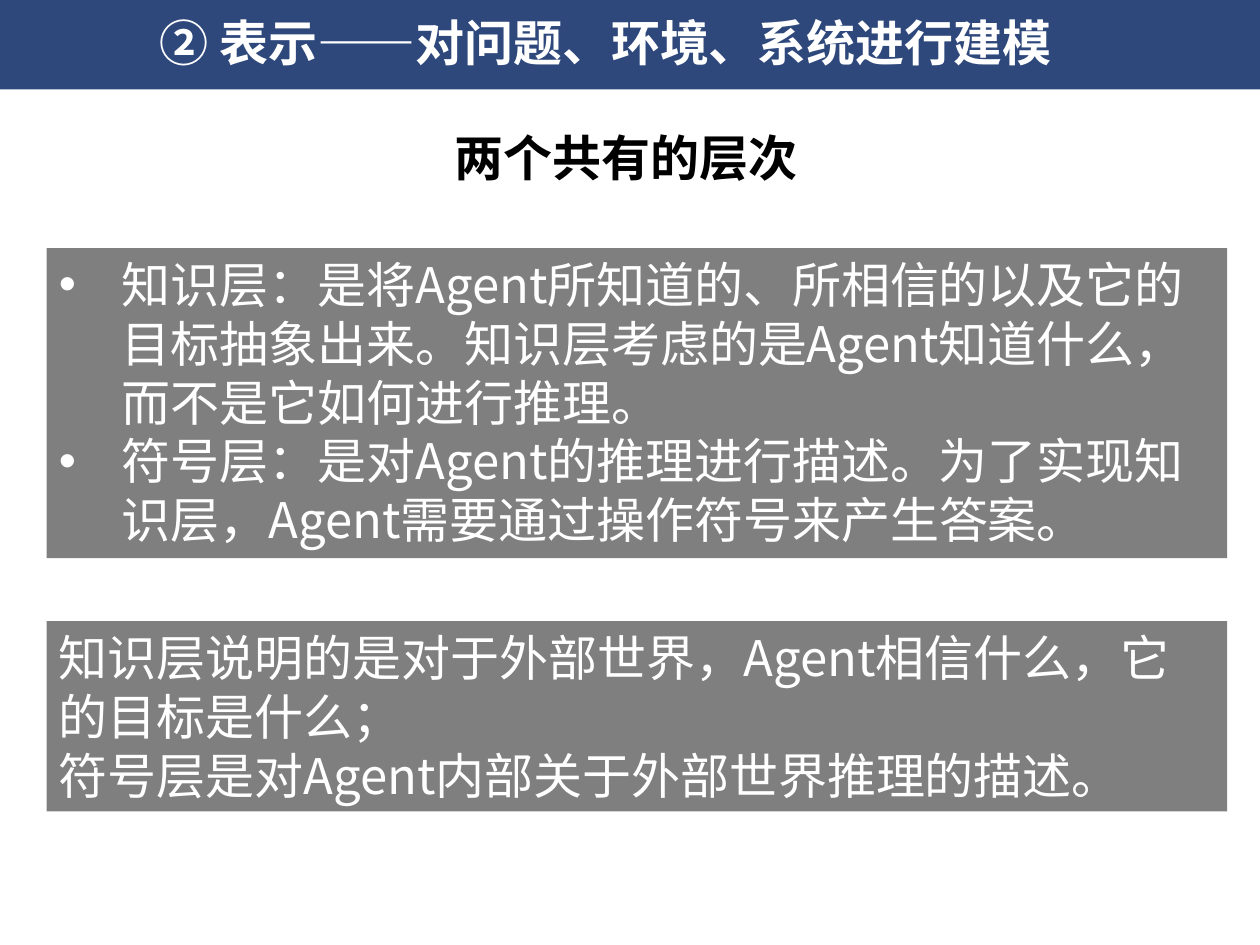
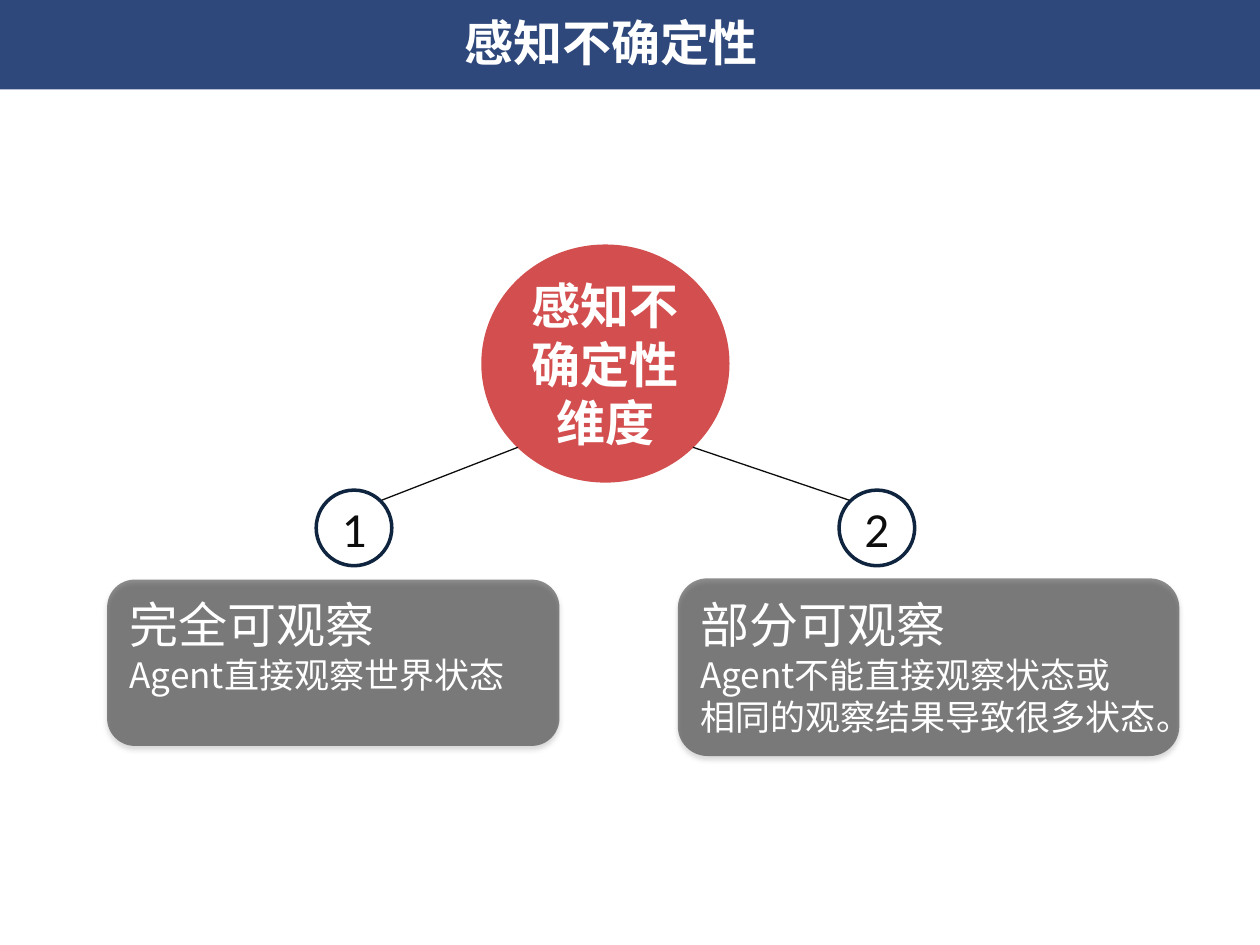
import pptx
import pptx.util
import pptx.dml.color
import pptx.enum.shapes
import pptx.enum.text
import pptx.oxml.ns
import lxml.etree

RGB = pptx.dml.color.RGBColor
NAVY = RGB(0x00, 0x20, 0x60)
RED = RGB(0xC0, 0x00, 0x00)
RING = RGB(0x0F, 0x24, 0x3E)
INK = RGB(0x0D, 0x0D, 0x0D)
BLACK = RGB(0, 0, 0)
WHITE = RGB(255, 255, 255)
FONT = "Noto Sans CJK SC"
SHAPE = pptx.enum.shapes.MSO_SHAPE
ALIGN = pptx.enum.text.PP_ALIGN
ANCHOR = pptx.enum.text.MSO_ANCHOR
qn = pptx.oxml.ns.qn
sub = lxml.etree.SubElement

deck = pptx.Presentation()
deck.slide_width = pptx.util.Inches(10)
deck.slide_height = pptx.util.Inches(7.5)
UNIT = deck.slide_width // 100  # grid of 100 columns by 75 rows


def box(slide, kind, area, fill=None, alpha=100):
    """Add a shape, or a text box if kind is None, on the grid."""
    area = [int(n * UNIT) for n in area]
    if kind is None:
        return slide.shapes.add_textbox(*area)
    shape = slide.shapes.add_shape(kind, *area)
    shape.shadow.inherit = False
    shape.line.fill.background()
    if fill is None:
        shape.fill.background()
    else:
        shape.fill.solid()
        shape.fill.fore_color.rgb = fill
        tint = shape._element.spPr.find(qn("a:solidFill"))[0]
        sub(tint, qn("a:alpha"), val=str(alpha * 1000))
    return shape


def write(shape, text, sizes=(28,), color=WHITE, bold=False, font=FONT,
          align=ALIGN.LEFT, anchor=ANCHOR.TOP, bullet=False):
    """Fill a shape, one paragraph a line; the last size repeats."""
    frame = shape.text_frame
    frame.word_wrap = True
    frame.auto_size = pptx.enum.text.MSO_AUTO_SIZE.NONE
    frame.vertical_anchor = anchor
    frame.text = text
    for i, para in enumerate(frame.paragraphs):
        para.alignment = align
        if bullet:
            props = para._p.get_or_add_pPr()
            props.set("marL", str(5 * UNIT))
            props.set("indent", str(-5 * UNIT))
            sub(props, qn("a:buFont"), typeface="Arial")
            sub(props, qn("a:buChar"), char="•")
        for run in para.runs:
            run.font.size = pptx.util.Pt(sizes[min(i, len(sizes) - 1)])
            run.font.bold = bold
            run.font.color.rgb = color
            run.font.name = font
            sub(run._r.get_or_add_rPr(), qn("a:ea"), typeface=font)


# Shared band and title
pages = []
for head in ("② 表示——对问题、环境、系统进行建模 ", "感知不确定性"):
    page = deck.slides.add_slide(deck.slide_layouts[5])
    band = box(page, SHAPE.RECTANGLE, (0, -0.3, 100, 7.4), NAVY, 82)
    page.shapes._spTree.insert(2, band._element)
    title = page.shapes.title
    title.left, title.top = int(6.7 * UNIT), int(0.5 * UNIT)
    title.width, title.height = int(83.6 * UNIT), int(5.7 * UNIT)
    write(title, head, bold=True, align=ALIGN.CENTER)
    pages.append(page)
levels, sensing = pages

# Slide 1: two levels
panels = [
    (19.7, 24.6, True,
     "知识层：是将Agent所知道的、所相信的以及它的目标抽象出来。知识层考虑的是Agent知道什么，而不是它如何进行推理。\n"
     "符号层：是对Agent的推理进行描述。为了实现知识层，Agent需要通过操作符号来产生答案。"),
    (49.3, 15.1, False,
     "知识层说明的是对于外部世界，Agent相信什么，它的目标是什么；\n"
     "符号层是对Agent内部关于外部世界推理的描述。"),
]
for top, tall, bullet, text in panels:
    panel = box(levels, SHAPE.RECTANGLE, (3.7, top, 93.7, tall), BLACK, 50)
    write(panel, text, bullet=bullet)
write(box(levels, None, (35.1, 9.6, 31, 5.7)), "两个共有的层次", color=BLACK, bold=True)

# Slide 2: hub with two numbered branches
hub = box(sensing, SHAPE.OVAL, (38.2, 19.4, 19.7, 18.9), RED, 69)
write(hub, "感知不确定性维度", bold=True, align=ALIGN.CENTER, anchor=ANCHOR.MIDDLE)

# ring left, link start, link end, card area, text
branches = [
    (25.1, 41.1, 30.3, (8.5, 46, 35.9, 13.2),
     "完全可观察\nAgent直接观察世界状态"),
    (66.6, 55, 67.4, (53.8, 45.9, 39.8, 14.1),
     "部分可观察\nAgent不能直接观察状态或\n相同的观察结果导致很多状态。"),
]
for num, (left, start, end, area, text) in enumerate(branches, 1):
    ring = box(sensing, SHAPE.OVAL, (left, 38.9, 6, 6))
    ring.line.color.rgb = RING
    ring.line.width = pptx.util.Pt(2)
    write(ring, str(num), color=INK, font="Calibri",
          align=ALIGN.CENTER, anchor=ANCHOR.MIDDLE)

    ends = [int(n * UNIT) for n in (start, 35.5, end, 39.7)]
    link = sensing.shapes.add_connector(
        pptx.enum.shapes.MSO_CONNECTOR.STRAIGHT, *ends)
    link.line.color.rgb = INK
    link.line.width = pptx.util.Pt(0.75)
    sub(link._element.spPr, qn("a:effectLst"))

    card = box(sensing, SHAPE.ROUNDED_RECTANGLE, area, BLACK, 44)
    glow = sub(card._element.spPr.find(qn("a:effectLst")), qn("a:outerShdw"),
               blurRad=str(pptx.util.Pt(3.1)), dist=str(pptx.util.Pt(1.8)),
               dir=str(90 * 60000), rotWithShape="0")
    shade = sub(glow, qn("a:srgbClr"), val=str(BLACK))
    sub(shade, qn("a:alpha"), val="35000")
    note = box(sensing, None, (area[0] + 0.8, 46.7, 39.1, 12.5))
    write(note, text, sizes=(28, 20))

deck.save("out.pptx")
